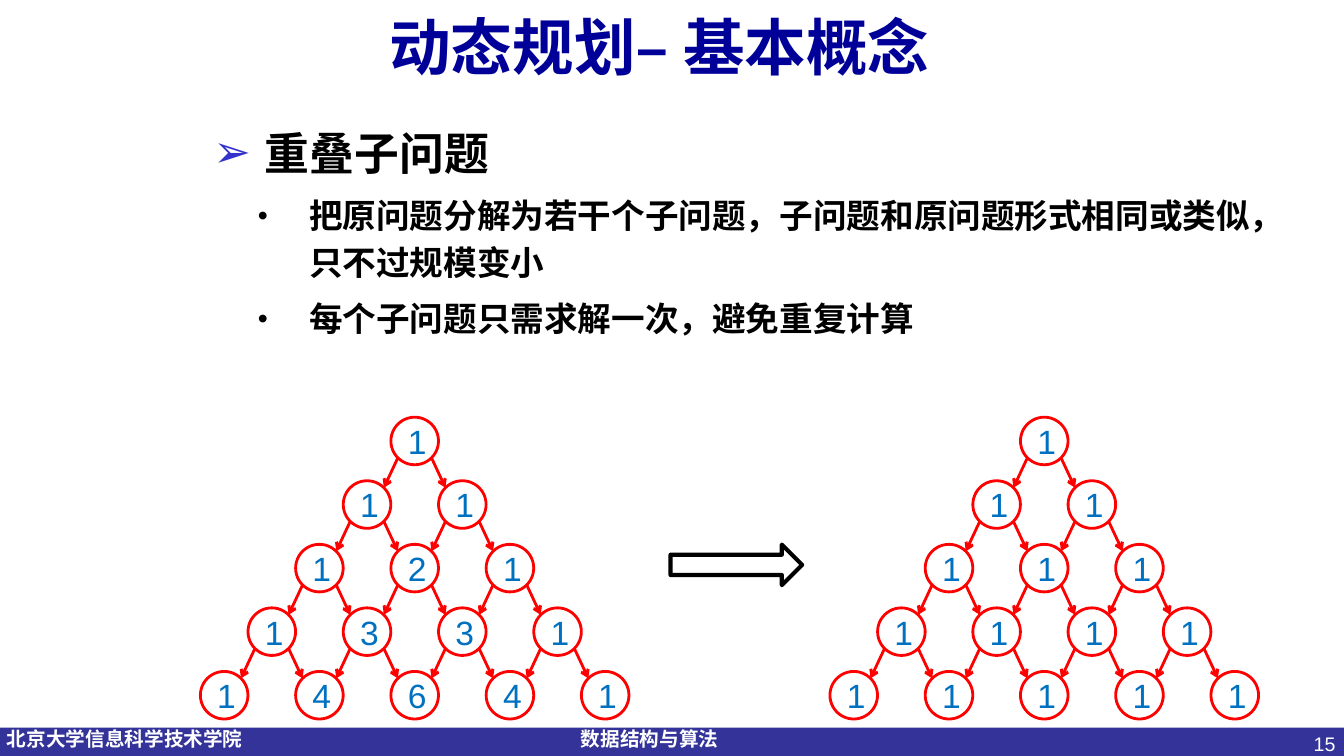
import math
from dataclasses import dataclass

import lxml.etree
import pptx
import pptx.dml.color
import pptx.enum.shapes
import pptx.enum.text
import pptx.oxml.ns
import pptx.util

Pt = pptx.util.Pt
qn = pptx.oxml.ns.qn
RGB = pptx.dml.color.RGBColor.from_string
SHAPE = pptx.enum.shapes.MSO_SHAPE
ALIGN = pptx.enum.text.PP_ALIGN
ANCHOR = pptx.enum.text.MSO_ANCHOR


@dataclass(frozen=True)
class Theme:
    title: str = "000099"
    bar: str = "333399"
    bullet: str = "3333CC"
    ink: str = "000000"
    light: str = "FFFFFF"
    node: str = "FF0000"
    number: str = "0070C0"
    title_size: int = 44
    head_size: int = 32
    body_size: int = 24
    foot_size: int = 14
    sans: str = "Arial"
    serif: str = "Times New Roman"
    cjk: str = "Noto Sans CJK SC"


class SlideBuilder:
    def __init__(self, slide, theme):
        self.s, self.t = slide, theme

    def add_text(self, p, text, size, color, font, bold=False, **paragraph):
        """Put one formatted run into a paragraph."""
        for name, value in paragraph.items():
            setattr(p, name, value)
        r = p.add_run()
        r.text = text
        for name, value in {"size": Pt(size), "name": font, "bold": bold}.items():
            setattr(r.font, name, value)
        r.font.color.rgb = RGB(color)
        ea = lxml.etree.SubElement(r.font._element, qn("a:ea"))
        ea.set("typeface", self.t.cjk)

    def frame(self, x, y, w, h, margins=(7.2, 3.6, 7.2, 3.6), anchor=ANCHOR.TOP):
        """Add a wrapping text box and return its text frame."""
        tf = self.s.shapes.add_textbox(Pt(x), Pt(y), Pt(w), Pt(h)).text_frame
        sides = ("margin_left", "margin_top", "margin_right", "margin_bottom")
        values = dict(zip(sides, map(Pt, margins)), word_wrap=True, vertical_anchor=anchor)
        for name, value in values.items():
            setattr(tf, name, value)
        return tf

    def shape(self, kind, x, y, w, h, fill=None, line=None, width=2):
        sp = self.s.shapes.add_shape(kind, Pt(x), Pt(y), Pt(w), Pt(h))
        sp.shadow.inherit = False
        if fill:
            sp.fill.solid()
            sp.fill.fore_color.rgb = RGB(fill)
        else:
            sp.fill.background()
        if line:
            sp.line.color.rgb = RGB(line)
            sp.line.width = Pt(width)
        else:
            sp.line.fill.background()
        return sp

    def arrow(self, x1, y1, x2, y2):
        cx = self.s.shapes.add_connector(
            pptx.enum.shapes.MSO_CONNECTOR.STRAIGHT, Pt(x1), Pt(y1), Pt(x2), Pt(y2))
        cx.line.color.rgb = RGB(self.t.node)
        cx.line.width = Pt(2)
        ln = cx.line._get_or_add_ln()
        lxml.etree.SubElement(ln, qn("a:tailEnd")).set("type", "arrow")
        lxml.etree.SubElement(cx._element.spPr, qn("a:effectLst"))

    def bullet(self, p, char, color, percent, left, hang):
        pPr = p._p.get_or_add_pPr()
        pPr.set("marL", str(Pt(left)))
        pPr.set("indent", str(-Pt(hang)))
        clr = lxml.etree.SubElement(pPr, qn("a:buClr"))
        lxml.etree.SubElement(clr, qn("a:srgbClr")).set("val", color)
        for tag, key, value in (("a:buSzPct", "val", str(percent * 1000)),
                                ("a:buFont", "typeface", self.t.sans),
                                ("a:buChar", "char", char)):
            lxml.etree.SubElement(pPr, qn(tag)).set(key, value)

    def triangle(self, left, top, value, rows=5, size=34, dx=68.04, dy=45.4):
        """Draw a triangle of circles; value(row, col) gives each number."""
        reach = size / 2 * math.sqrt(0.5)
        centers = {(row, col): (left + size / 2 + (col - row / 2) * dx,
                                top + size / 2 + row * dy)
                   for row in range(rows) for col in range(row + 1)}
        for (row, col), (x, y) in centers.items():
            sp = self.shape(SHAPE.OVAL, x - size / 2, y - size / 2, size, size,
                            line=self.t.node)
            sp.text_frame.vertical_anchor = ANCHOR.MIDDLE
            self.add_text(sp.text_frame.paragraphs[0], str(value(row, col)),
                          self.t.body_size, self.t.number, self.t.sans,
                          alignment=ALIGN.CENTER)
        for (row, col), (x, y) in centers.items():
            if row == rows - 1:
                continue
            for child, side in ((col, -1), (col + 1, 1)):
                x2, y2 = centers[row + 1, child]
                self.arrow(x + side * reach, y + reach, x2 - side * reach, y2 - reach)


def main():
    prs = pptx.Presentation()
    prs.slide_width, prs.slide_height = Pt(960), Pt(540)
    t = Theme()
    b = SlideBuilder(prs.slides.add_slide(prs.slide_layouts[6]), t)

    # Footer bar
    b.shape(SHAPE.RECTANGLE, 0, 519.8, 960, 20.2, fill=t.bar)
    for x, w, text in ((5, 182, "北京大学信息科学技术学院"), (415, 112, "数据结构与算法")):
        tf = b.frame(x, 515.5, w, 24.5, margins=(0, 3.6, 7.2, 3.6))
        b.add_text(tf.paragraphs[0], text, t.foot_size, t.light, t.sans, True)
    tf = b.frame(737, 519.4, 224, 20.6)
    b.add_text(tf.paragraphs[0], "15", t.foot_size, t.light, t.sans, alignment=ALIGN.RIGHT)

    # Title
    tf = b.frame(0, 0, 960, 65.5, margins=(14.4, 3.6, 32, 3.6), anchor=ANCHOR.MIDDLE)
    b.add_text(tf.paragraphs[0], "动态规划– 基本概念", t.title_size, t.title, t.cjk, True,
               alignment=ALIGN.CENTER)

    # Heading and its two points
    tf = b.frame(145.4, 80.3, 760.3, 212)
    p = tf.paragraphs[0]
    p.line_spacing = 1.15
    b.bullet(p, "➢", t.bullet, 100, 36.7, 36.7)
    b.add_text(p, "重叠子问题", t.head_size, t.ink, t.cjk, True)
    for text in ("把原问题分解为若干个子问题，子问题和原问题形式相同或类似，只不过规模变小",
                 "每个子问题只需求解一次，避免重复计算"):
        p = tf.add_paragraph()
        p.line_spacing, p.space_before = 1.15, Pt(7.2)
        b.bullet(p, "•", t.ink, 85, 68.4, 36.7)
        b.add_text(p, text, t.body_size, t.ink, t.serif, True)

    # Repeated visits on the left, one visit each on the right
    b.triangle(279.2, 298, math.comb)
    b.triangle(728.9, 298, lambda row, col: 1)
    b.shape(SHAPE.RIGHT_ARROW, 479, 389, 94, 29, line=t.ink, width=3)

    prs.save("out.pptx")


if __name__ == "__main__":
    main()
